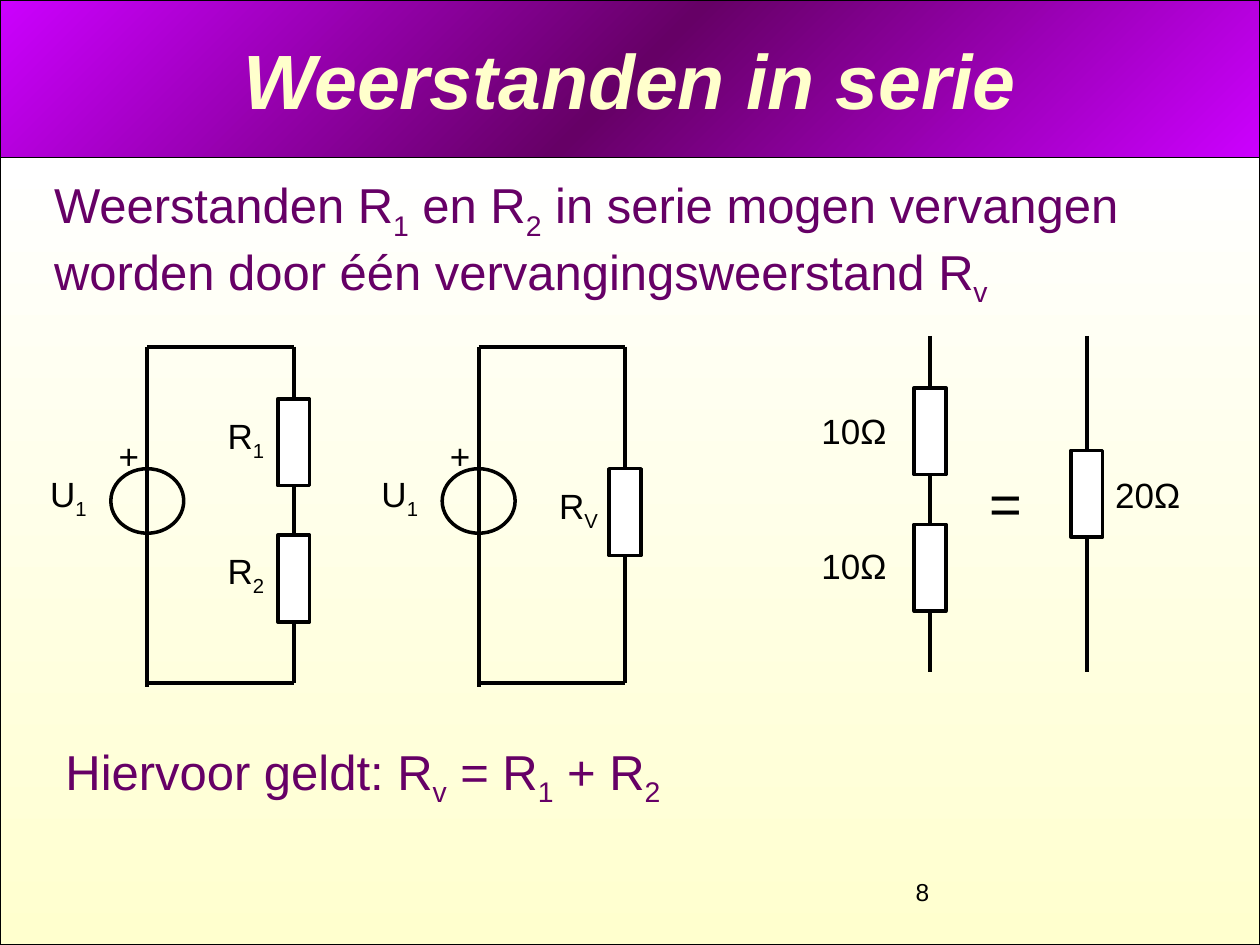
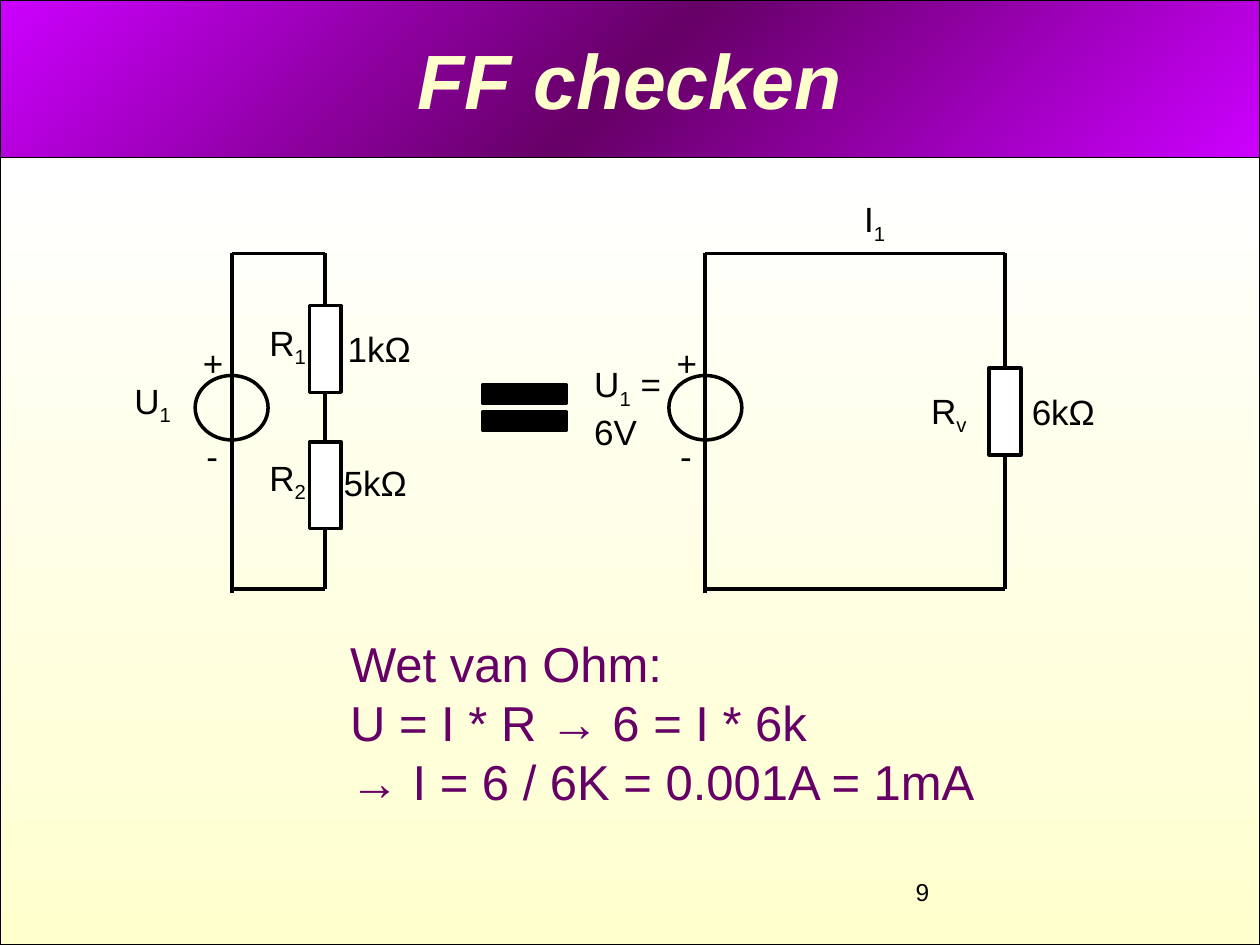
from pptx import Presentation
from pptx.dml.color import RGBColor
from pptx.enum.shapes import MSO_CONNECTOR, MSO_SHAPE
from pptx.enum.text import MSO_ANCHOR, MSO_AUTO_SIZE, PP_ALIGN
from pptx.oxml import parse_xml
from pptx.oxml.ns import nsdecls, qn
from pptx.util import Cm, Pt

RECTANGLE, OVAL, EQUALS = MSO_SHAPE.RECTANGLE, MSO_SHAPE.OVAL, MSO_SHAPE.MATH_EQUAL
STRAIGHT = MSO_CONNECTOR.STRAIGHT
MIDDLE, CENTER = MSO_ANCHOR.MIDDLE, PP_ALIGN.CENTER
FIT_SHAPE = MSO_AUTO_SIZE.SHAPE_TO_FIT_TEXT

FONT = "Arial"
BLACK, WHITE, PURPLE, CREAM, VIOLET = "000000", "FFFFFF", "660066", "FFFFCC", "CC00FF"

# Content: lengths in cm, an underscore lowers the character after it
PAGE_WIDTH, PAGE_HEIGHT, BAND_HEIGHT = 25.4, 19.05, 3.18
BRANCH_HEIGHT = 6.77
RESISTOR_WIDTH, RESISTOR_HEIGHT = 0.64, 1.75
SOURCE_WIDTH, SOURCE_HEIGHT, SOURCE_DROP = 1.47, 1.3, 2.46
PAIR, SINGLE, LOW_SINGLE = (1.05, 3.8), (2.31,), (2.46,)  # resistor drops below the branch top
SIGN_PLACES = {"+": (-0.83, 1.65, 0.91), "-": (-0.76, 3.53, 0.74)}  # from the source wire: x, y, width

PAGES = [
    {
        "title": "Weerstanden in serie",
        "number": "8",
        "signs": "+",
        # source x, branch x, top, resistor drops
        "circuits": [(2.97, 5.92, 6.99, PAIR), (9.65, 12.6, 6.99, LOW_SINGLE)],
        # branch x, top, resistor drops
        "branches": [(18.75, 6.77, PAIR), (21.91, 6.77, SINGLE)],
        # text, left, top, width, size
        "labels": [
            ("U_1", 0.76, 9.4, 1.24, 20),
            ("R_1", 4.34, 8.23, 1.24, 20),
            ("R_2", 4.34, 10.95, 1.24, 20),
            ("U_1", 7.44, 9.4, 1.24, 20),
            ("R_V", 11.02, 9.65, 1.3, 20),
            ("10Ω", 16.31, 8.13, 1.83, 20),
            ("10Ω", 16.31, 10.85, 1.83, 20),
            ("=", 19.69, 9.32, 1.17, 32),
            ("20Ω", 22.23, 9.42, 1.83, 20),
        ],
        # text, left, top, width, height
        "statements": [
            ("Weerstanden R_1 en R_2 in serie mogen vervangen worden "
             "door één vervangingsweerstand R_v", 0.84, 3.4, 23.29, 2.95),
            ("Hiervoor geldt: R_v = R_1 + R_2", 1.07, 14.82, 20.85, 1.6),
        ],
        "equals_signs": [],
    },
    {
        "title": "FF checken",
        "number": "9",
        "signs": "+-",
        "circuits": [(4.67, 6.56, 5.11, PAIR), (14.22, 20.26, 5.11, SINGLE)],
        "branches": [],
        "labels": [
            ("U_1", 2.46, 7.52, 1.24, 20),
            ("R_1", 5.18, 6.35, 1.24, 20),
            ("R_2", 5.18, 9.07, 1.24, 20),
            ("1kΩ", 6.76, 6.48, 1.8, 20),
            ("5kΩ", 6.68, 9.17, 1.8, 20),
            ("U_1 =\n6V", 11.73, 7.19, 2.1, 20),
            ("I_1", 17.17, 3.86, 1.2, 20),
            ("R_v", 18.52, 7.72, 1.24, 20),
            ("6kΩ", 20.55, 7.75, 1.8, 20),
        ],
        "statements": [
            ("Wet van Ohm:\nU = I * R → 6 = I * 6k\n→ I = 6 / 6K = 0.001A = 1mA",
             6.81, 12.65, 15.44, 3.81),
        ],
        "equals_signs": [(9.42, 7.44, 2.31, 1.55)],
    },
]


def color(value):
    return RGBColor.from_string(value)


def style_span(span, size, tint):
    span.font.name = FONT
    span.font.size = Pt(size)
    span.font.color.rgb = color(tint)


def add_text(page, text, left, top, width, height, size, tint=BLACK, wrap=False):
    box = page.shapes.add_textbox(Cm(left), Cm(top), Cm(width), Cm(height))
    frame = box.text_frame
    frame.word_wrap = wrap
    frame.auto_size = FIT_SHAPE
    for index, line in enumerate(text.split("\n")):
        para = frame.add_paragraph() if index else frame.paragraphs[0]
        first, *rest = line.split("_")
        pieces = [(first, False)]
        for part in rest:
            pieces += [(part[0], True), (part[1:], False)]
        for piece, lowered in pieces:
            if piece:
                span = para.add_run()
                span.text = piece
                style_span(span, size, tint)
                if lowered:
                    span.font._element.set("baseline", "-25000")


def add_label(page, text, left, top, width, size):
    height = size * 0.05 + 0.12 + (0.1 if "_" in text else 0) + 0.86 * text.count("\n")
    add_text(page, text, left, top, width, height, size)


def add_figure(page, kind, left, top, width, height, fill=None, line_width=2):
    figure = page.shapes.add_shape(kind, Cm(left), Cm(top), Cm(width), Cm(height))
    figure.shadow.inherit = False
    figure.line.color.rgb = color(BLACK)
    figure.line.width = Pt(line_width)
    if fill:
        figure.fill.solid()
        figure.fill.fore_color.rgb = color(fill)
    else:
        figure.fill.background()
    return figure


def add_wire(page, x1, y1, x2, y2):
    wire = page.shapes.add_connector(STRAIGHT, Cm(x1), Cm(y1), Cm(x2), Cm(y2))
    wire.line.color.rgb = color(BLACK)
    wire.line.width = Pt(2.25)
    wire.element.spPr.append(parse_xml(f"<a:effectLst {nsdecls('a')}/>"))


def add_branch(page, x, top, drops):
    add_wire(page, x, top, x, top + BRANCH_HEIGHT)
    for drop in drops:
        add_figure(page, RECTANGLE, x - RESISTOR_WIDTH / 2, top + drop,
                   RESISTOR_WIDTH, RESISTOR_HEIGHT, WHITE)


def add_circuit(page, source_x, branch_x, top, drops, signs):
    add_branch(page, branch_x, top, drops)
    bottom = top + BRANCH_HEIGHT
    for rail in (top, bottom):
        add_wire(page, source_x, rail, branch_x, rail)
    add_wire(page, source_x, bottom + 0.08, source_x, top)
    add_figure(page, OVAL, source_x - SOURCE_WIDTH / 2, top + SOURCE_DROP,
               SOURCE_WIDTH, SOURCE_HEIGHT)
    for sign in signs:
        shift, drop, width = SIGN_PLACES[sign]
        add_label(page, sign, source_x + shift, top + drop, width, 20)


def set_gradient(figure, tints, angle, opacity):
    step = 100000 // (len(tints) - 1)
    stops = "".join(
        f'<a:gs pos="{index * step}"><a:srgbClr val="{tint}">'
        f'<a:alpha val="{opacity * 1000}"/></a:srgbClr></a:gs>'
        for index, tint in enumerate(tints))
    gradient = parse_xml(
        f'<a:gradFill {nsdecls("a")} rotWithShape="1"><a:gsLst>{stops}</a:gsLst>'
        f'<a:lin ang="{angle * 60000}" scaled="0"/></a:gradFill>')
    properties = figure.element.spPr
    properties.replace(properties.find(qn("a:noFill")), gradient)


def prepare_layout(layout, page):
    """Move the two gradient bands behind the layout and place its title."""
    bands = [
        (0, BAND_HEIGHT, (VIOLET, PURPLE, VIOLET), 225, 100),
        (BAND_HEIGHT, PAGE_HEIGHT - BAND_HEIGHT, (WHITE, CREAM), 90, 94),
    ]
    for index, (top, height, tints, angle, opacity) in enumerate(bands):
        band = add_figure(page, RECTANGLE, 0, top, PAGE_WIDTH, height, line_width=0.75)
        set_gradient(band, tints, angle, opacity)
        layout.shapes.element.insert(2 + index, band.element)
    title = layout.placeholders[0]
    title.left, title.top = Cm(1.27), Cm(0)
    title.width, title.height = Cm(22.86), Cm(BAND_HEIGHT)


def fill_title(page, text):
    frame = page.shapes.title.text_frame
    frame.text = text
    frame.vertical_anchor = MIDDLE
    para = frame.paragraphs[0]
    para.alignment = CENTER
    span = para.runs[0]
    style_span(span, 44, CREAM)
    span.font.bold = span.font.italic = True


def build_page(page, content):
    fill_title(page, content["title"])
    add_text(page, content["number"], 18.21, 17.56, 5.92, 0.86, 14, wrap=True)
    for statement in content["statements"]:
        add_text(page, *statement, 28, PURPLE, wrap=True)
    for circuit in content["circuits"]:
        add_circuit(page, *circuit, content["signs"])
    for branch in content["branches"]:
        add_branch(page, *branch)
    for label in content["labels"]:
        add_label(page, *label)
    for place in content["equals_signs"]:
        add_figure(page, EQUALS, *place, BLACK)


def main():
    deck = Presentation()
    deck.slide_width, deck.slide_height = Cm(PAGE_WIDTH), Cm(PAGE_HEIGHT)
    layout = deck.slide_layouts[5]  # title only
    pages = [deck.slides.add_slide(layout) for _ in PAGES]
    prepare_layout(layout, pages[0])
    for page, content in zip(pages, PAGES):
        build_page(page, content)
    deck.save("out.pptx")


if __name__ == "__main__":
    main()
